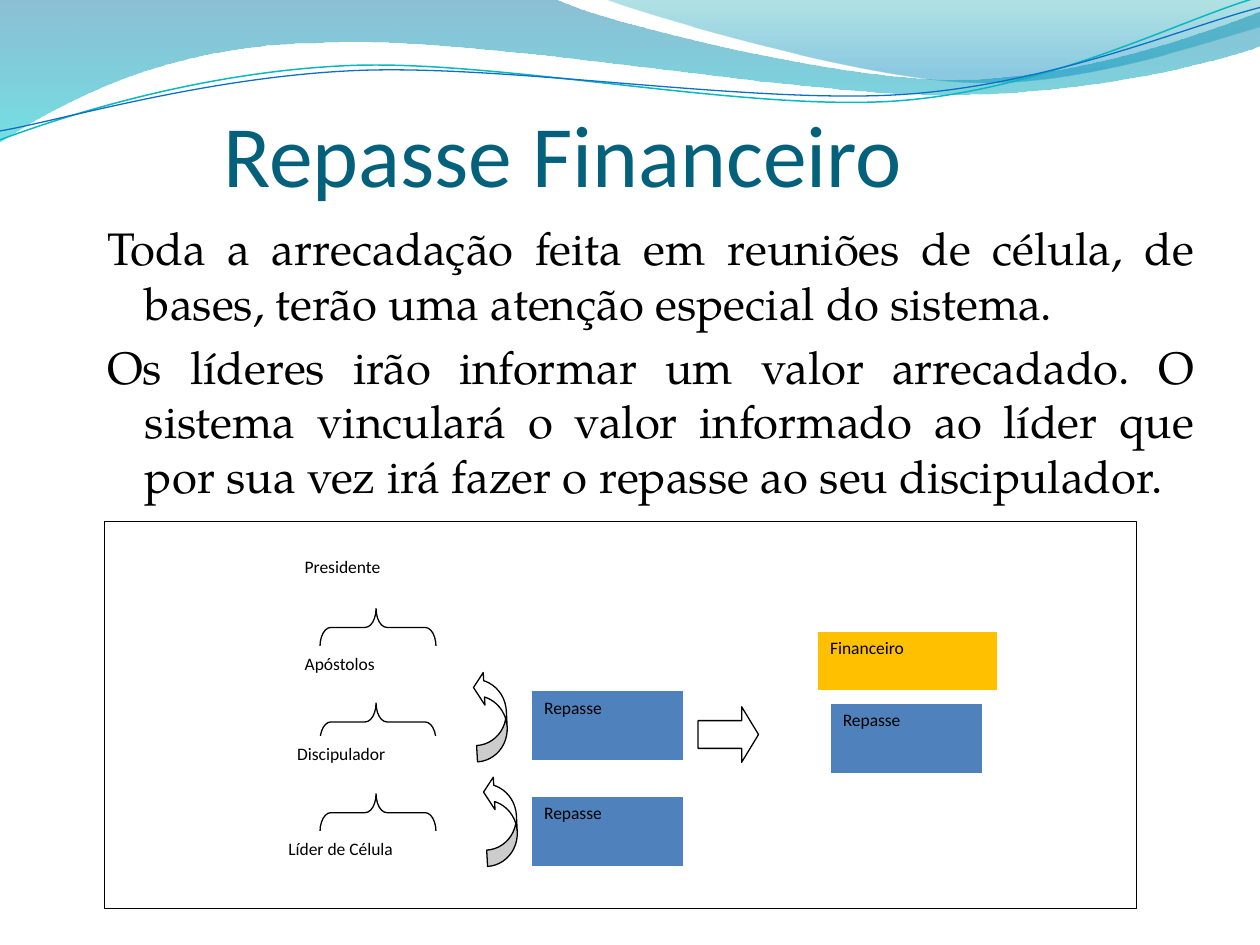
from math import cos, radians, sin

from lxml.etree import SubElement
from pptx import Presentation
from pptx.dml.color import RGBColor
from pptx.enum.shapes import MSO_SHAPE as Shape
from pptx.enum.text import MSO_ANCHOR as Anchor, MSO_AUTO_SIZE as AutoSize, PP_ALIGN as Align
from pptx.oxml.ns import qn
from pptx.util import Inches, Pt

# Content
TITLE = "Repasse Financeiro"
BODY = [
    "Toda a arrecadação feita em reuniões de célula, de bases, terão uma atenção especial do sistema.",
    "Os líderes irão informar um valor arrecadado. O sistema vinculará o valor informado ao líder "
    "que por sua vez irá fazer o repasse ao seu discipulador.",
]
COLORS = {
    "title": "04617B", "black": "000000", "white": "FFFFFF", "blue": "4F81BD", "gold": "FFC000",
    "teal line": "0AB8BF", "blue line": "0F6FC6",
}
# Hierarchy from top to bottom: name, left, top, width
LEVELS = [
    ("Presidente", 2.32, 4.36, 1.61),
    ("Apóstolos", 2.32, 5.13, 1.61),
    ("Discipulador", 2.26, 5.85, 1.61),
    ("Líder de Célula", 2.19, 6.6, 1.82),
]
BRACE_TOPS = [4.52, 5.27, 5.99]
UP_ARROWS = [(3.85, 6.15), (3.77, 5.32)]
# Coloured boxes: name, left, top, width, height, colour
BOXES = [
    ("Repasse", 4.22, 5.48, 1.21, 0.56, "blue"),
    ("Repasse", 4.22, 6.32, 1.21, 0.56, "blue"),
    ("Financeiro", 6.49, 5.01, 1.43, 0.47, "gold"),
    ("Repasse", 6.59, 5.58, 1.21, 0.56, "blue"),
]
# Header: a step of one point is a line, of three points a Bezier curve.
# Gradient stops: position, colour, opacity in percent
WAVES = [
    {"start": (0, -0.01),
     "steps": [[(4.4, -0.01)],
               [(4.76, 0.17), (6.64, 0.63), (7.58, 0.63)],
               [(8.53, 0.63), (9.58, 0.26), (10, 0.09)],
               [(10.01, 0.36)],
               [(9.83, 0.44), (8.7, 0.76), (7.46, 0.75)],
               [(6.22, 0.75), (3.82, 0.28), (2.57, 0.34)],
               [(1.29, 0.35), (0.46, 0.83), (-0.01, 1.13)]],
     "stops": [(0, "0074A1", 45), (1, "00C6CF", 55)]},
    {"start": (4.79, -0.01),
     "steps": [[(5.09, 0.11), (6.82, 0.62), (7.69, 0.65)],
               [(8.56, 0.69), (9.61, 0.32), (10, 0.21)],
               [(10, 0)]],
     "stops": [(0, "00A1A9", 30), (0.8, "008BBF", 45)]},
]
LINE_TILT = 2.7  # degrees counterclockwise
LINES = [
    {"start": (0, 1.11), "center": (4.99, 0.58), "color": "teal line", "width": 0.85,
     "steps": [[(0.48, 0.93), (1.58, 0.57), (2.77, 0.52)],
               [(3.95, 0.47), (5.93, 0.89), (7.13, 0.8)],
               [(8.33, 0.71), (9.38, 0.15), (9.98, -0.02)]]},
    {"start": (0, 1.04), "center": (5, 0.59), "color": "blue line", "width": 0.75,
     "steps": [[(0.47, 0.96), (1.64, 0.61), (2.83, 0.56)],
               [(4.03, 0.51), (5.97, 0.83), (7.17, 0.75)],
               [(8.36, 0.67), (9.41, 0.21), (10, 0.06)]]},
]


def rgb(name):
    return RGBColor.from_string(COLORS[name])


def add_curve(shapes, start, steps, close):
    """Draw a freeform through all points, then join each triple into one Bezier."""
    points = [(Inches(x), Inches(y)) for step in [[start], *steps] for x, y in step]
    builder = shapes.build_freeform(*points[0])
    builder.add_line_segments(points[1:], close=close)
    shape = builder.convert_to_shape()
    shape.shadow.inherit = False
    segments = iter(list(shape._element.iter(qn("a:lnTo"))))
    for step in steps:
        first, *others = [next(segments) for _ in step]
        if others:
            first.tag = qn("a:cubicBezTo")
            for other in others:
                first.append(other[0])
                other.getparent().remove(other)
    return shape


def add_wave(shapes, wave):
    shape = add_curve(shapes, wave["start"], wave["steps"], True)
    shape.line.fill.background()
    shape.fill.gradient()
    shape.fill.gradient_angle = 270
    for stop, (position, color, _) in zip(shape.fill.gradient_stops, wave["stops"]):
        stop.position = position
        stop.color.rgb = RGBColor.from_string(color)
    for node, (_, _, opacity) in zip(shape._element.iter(qn("a:srgbClr")), wave["stops"]):
        SubElement(node, qn("a:alpha")).set("val", str(opacity * 1000))


def add_tilted_line(shapes, line):
    center_x, center_y = line["center"]
    sine, cosine = sin(radians(LINE_TILT)), cos(radians(LINE_TILT))

    def level(point):
        x, y = point[0] - center_x, point[1] - center_y
        return center_x + x * cosine - y * sine, center_y + x * sine + y * cosine

    steps = [[level(point) for point in step] for step in line["steps"]]
    shape = add_curve(shapes, level(line["start"]), steps, False)
    shape.rotation = 360 - LINE_TILT
    shape.fill.background()
    shape.line.color.rgb = rgb(line["color"])
    shape.line.width = Pt(line["width"])


def add_figure(shapes, kind, left, top, width, height, fill="white", line="black", turn=0, adjust=()):
    shape = shapes.add_shape(kind, Inches(left), Inches(top), Inches(width), Inches(height))
    shape.shadow.inherit = False
    shape.rotation = turn
    for index, value in enumerate(adjust):
        shape.adjustments[index] = value
    if fill:
        shape.fill.solid()
        shape.fill.fore_color.rgb = rgb(fill)
    else:
        shape.fill.background()
    shape.line.color.rgb = rgb(line)
    shape.line.width = Pt(0.75)
    return shape


def add_run(para, text, font, size, color):
    span = para.add_run()
    span.text = text
    span.font.name = font
    span.font.size = Pt(size)
    span.font.color.rgb = rgb(color)


def add_box(shapes, text, left, top, width, height, fill):
    box = add_figure(shapes, Shape.RECTANGLE, left, top, width, height, fill, "white")
    box.text_frame.vertical_anchor = Anchor.TOP
    para = box.text_frame.paragraphs[0]
    para.alignment = Align.LEFT
    para.space_after = Pt(10)
    add_run(para, text, "Calibri", 10, "black")


def place(page, holder, left, top, width, height):
    page.shapes._spTree.append(holder._element)  # in front of the header
    holder.left, holder.top = Inches(left), Inches(top)
    holder.width, holder.height = Inches(width), Inches(height)
    frame = holder.text_frame
    frame.word_wrap = True
    frame.auto_size = AutoSize.NONE
    return frame


def main():
    deck = Presentation()
    deck.slide_width, deck.slide_height = Inches(10), Inches(7.5)
    page = deck.slides.add_slide(deck.slide_layouts[1])
    title, body = page.shapes.title, page.placeholders[1]

    # Header
    for wave in WAVES:
        add_wave(page.shapes, wave)
    header = page.shapes.add_group_shape().shapes
    for line in LINES:
        add_tilted_line(header, line)

    # Title
    frame = place(page, title, 1.77, 0.68, 7.97, 0.95)
    frame.vertical_anchor = Anchor.BOTTOM
    frame.margin_left = frame.margin_right = frame.margin_bottom = 0
    frame.paragraphs[0].alignment = Align.LEFT
    add_run(frame.paragraphs[0], TITLE, "Calibri", 50, "title")

    # Body text with hanging indent
    frame = place(page, body, 0.75, 1.7, 8.84, 2.76)
    for index, text in enumerate(BODY):
        para = frame.add_paragraph() if index else frame.paragraphs[0]
        para.alignment = Align.JUSTIFY
        properties = para._p.get_or_add_pPr()
        properties.set("marL", str(Inches(0.3)))
        properties.set("indent", str(Inches(-0.3)))
        SubElement(properties, qn("a:buNone"))
        add_run(para, text, "TeX Gyre Pagella", 26, "black")

    # Diagram frame and hierarchy
    diagram = page.shapes.add_group_shape().shapes
    add_figure(diagram, Shape.RECTANGLE, 0.83, 4.14, 8.19, 3.07)
    for index, (name, left, top, width) in enumerate(LEVELS):
        add_box(diagram, name, left, top, width, 0.47, "white")
        if index < len(BRACE_TOPS):
            add_figure(diagram, Shape.LEFT_BRACE, 2.85, BRACE_TOPS[index], 0.3, 0.92,
                       fill=None, turn=90, adjust=(0.287, 0.517))

    # Transfers
    for left, top in UP_ARROWS:
        add_figure(diagram, Shape.CURVED_RIGHT_ARROW, left, top, 0.25, 0.72,
                   turn=176.9, adjust=(0.518, 1.036, 0.333))
    for box in BOXES:
        add_box(diagram, *box)
    add_figure(diagram, Shape.RIGHT_ARROW, 5.54, 5.61, 0.48, 0.44, adjust=(0.5, 0.304))

    deck.save("out.pptx")


if __name__ == "__main__":
    main()
